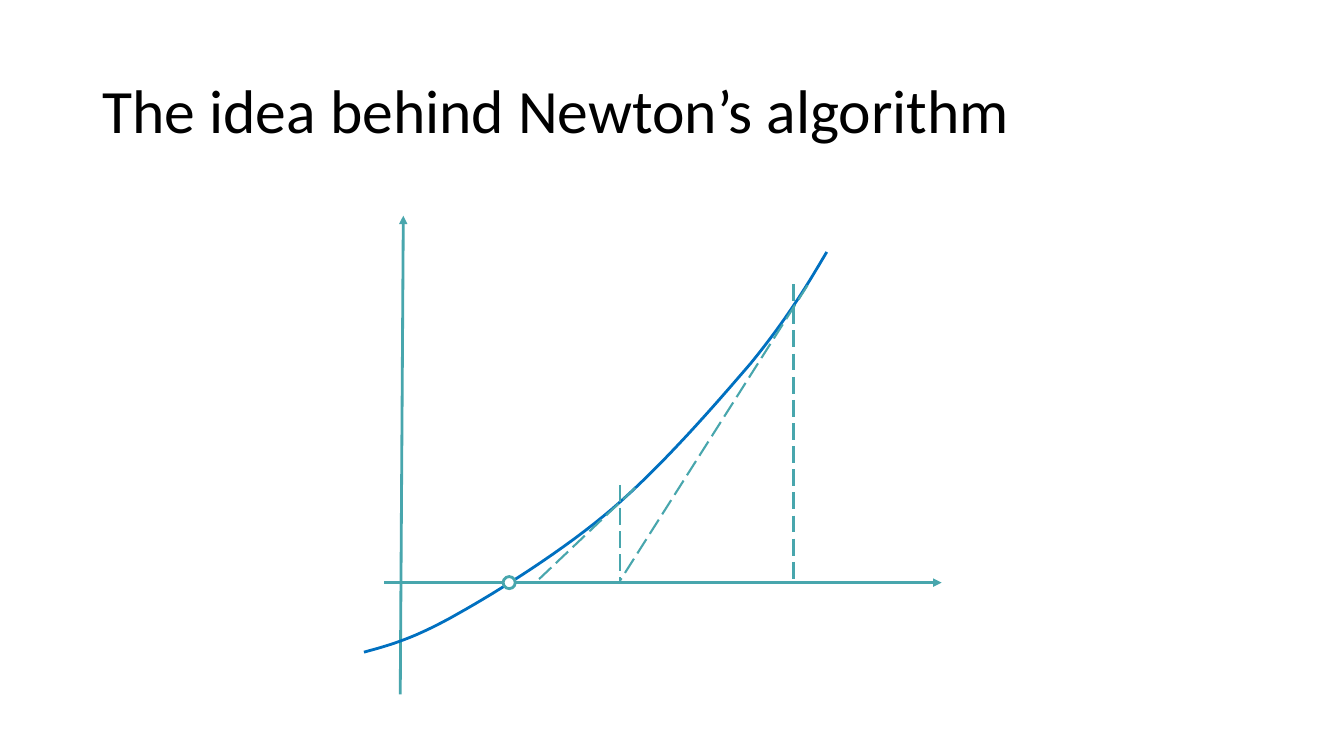
from lxml import etree
from pptx import Presentation
from pptx import util as u
from pptx.dml.color import RGBColor
from pptx.enum import dml, shapes, text
from pptx.oxml.ns import qn

TEAL = "48A6AD"
BLUE = "0070C0"
WHITE = "FFFFFF"
BLACK = "000000"

AXIS_Y = 3.64
ROOT_X = 1.44
ROOT_SIZE = 0.12
AXES = [((0.2, AXIS_Y), (5.73, AXIS_Y)), ((0.36, 4.75), (0.39, 0))]
GUIDES = [
    ((2.54, 2.67), (2.54, AXIS_Y)),
    ((4.26, 0.68), (4.26, AXIS_Y)),
    ((4.4, 0.69), (2.54, 3.62)),
    ((2.69, 2.7), (1.7, AXIS_Y)),
]
CURVE_START = (0, 4.33)
CURVE_SEGMENTS = [
    ((0.26, 4.26), (0.51, 4.19), (0.93, 3.95)),
    ((1.34, 3.72), (1.98, 3.32), (2.46, 2.91)),
    ((2.95, 2.49), (3.48, 1.88), (3.84, 1.46)),
    ((4.19, 1.03), (4.39, 0.7), (4.59, 0.36)),
]
STEPS = 16


def color(value):
    return RGBColor.from_string(value)


def style_line(shape, value, width):
    shape.line.color.rgb = color(value)
    shape.line.width = u.Pt(width)


def add_line(slide, box, start, end, width, dashed=False, arrow=False):
    left, top = box[:2]
    line = slide.shapes.add_connector(
        shapes.MSO_CONNECTOR.STRAIGHT,
        u.Inches(left + start[0]), u.Inches(top + start[1]),
        u.Inches(left + end[0]), u.Inches(top + end[1]))
    style_line(line, TEAL, width)
    if dashed:
        line.line.dash_style = dml.MSO_LINE.LONG_DASH
    properties = line._element.spPr
    if arrow:
        outline = properties.find(qn("a:ln"))
        etree.SubElement(outline, qn("a:tailEnd"), type="triangle")
    etree.SubElement(properties, qn("a:effectLst"))


def curve_points():
    points = [CURVE_START]
    for first, second, end in CURVE_SEGMENTS:
        start = points[-1]
        for step in range(1, STEPS + 1):
            t = step / STEPS
            s = 1 - t
            points.append(tuple(
                s**3 * a + 3 * s**2 * t * b + 3 * s * t**2 * c + t**3 * d
                for a, b, c, d in zip(start, first, second, end)))
    return points


def add_curve(slide, box):
    left, top = box[:2]
    points = [(u.Inches(left + x), u.Inches(top + y)) for x, y in curve_points()]
    builder = slide.shapes.build_freeform(*points[0])
    builder.add_line_segments(points[1:], close=False)
    curve = builder.convert_to_shape()
    curve.shadow.inherit = False
    curve.fill.background()
    style_line(curve, BLUE, 2)


def add_root(slide, box):
    left, top = box[:2]
    root = slide.shapes.add_shape(
        shapes.MSO_SHAPE.OVAL,
        u.Inches(left + ROOT_X - ROOT_SIZE / 2),
        u.Inches(top + AXIS_Y - ROOT_SIZE / 2),
        u.Inches(ROOT_SIZE), u.Inches(ROOT_SIZE))
    root.shadow.inherit = False
    root.fill.solid()
    root.fill.fore_color.rgb = color(WHITE)
    style_line(root, TEAL, 2)


def add_title(slide, box):
    title = slide.shapes.add_textbox(*map(u.Inches, box))
    frame = title.text_frame
    frame.word_wrap = True
    frame.vertical_anchor = text.MSO_ANCHOR.MIDDLE
    paragraph = frame.paragraphs[0]
    paragraph.text = "The idea behind Newton’s algorithm"
    paragraph.line_spacing = 0.9
    paragraph.font.name = "Calibri"
    paragraph.font.size = u.Pt(44)
    paragraph.font.color.rgb = color(BLACK)


def add_plot(slide, box):
    for start, end in AXES:
        add_line(slide, box, start, end, 2, arrow=True)
    add_curve(slide, box)
    add_root(slide, box)
    for start, end in GUIDES:
        add_line(slide, box, start, end, 1.5, dashed=True)


def main():
    presentation = Presentation()
    presentation.slide_width = u.Inches(13.33)
    presentation.slide_height = u.Inches(7.5)
    slide = presentation.slides.add_slide(presentation.slide_layouts[6])
    add_title(slide, (0.92, 0.4, 11.5, 1.45))
    add_plot(slide, (3.61, 2.14, 5.73, 4.75))
    presentation.save("out.pptx")


if __name__ == "__main__":
    main()
